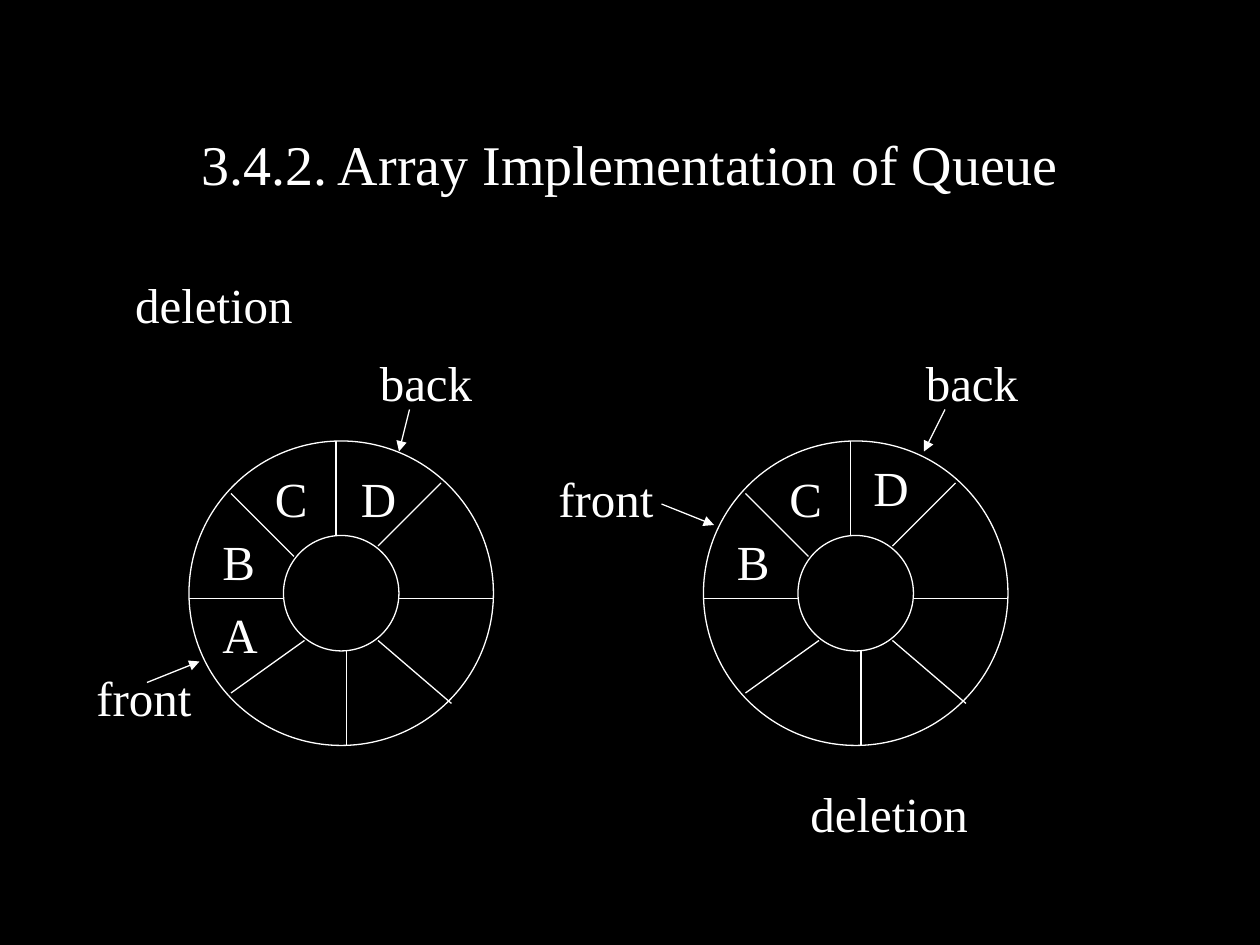
from lxml.etree import SubElement
from pptx import Presentation
from pptx.dml.color import RGBColor
from pptx.enum.shapes import MSO_CONNECTOR, MSO_SHAPE
from pptx.enum.text import MSO_ANCHOR, MSO_AUTO_SIZE, PP_ALIGN
from pptx.oxml.ns import qn
from pptx.util import Cm, Pt

WHITE, BLACK = "FFFFFF", "000000"
TITLE_FONT = {"name": "Times New Roman", "size": Pt(32), "bold": False}
LABEL_FONT = {"name": "Times New Roman", "size": Pt(28), "bold": False}

# Ring geometry in grid steps, measured from the ring's top left corner
RING, HUB, HUB_OFFSET = 29, 11, 9
SPOKES = [
    (14, 0, 14, 9), (15, 20, 15, 29), (20, 15, 29, 15), (9, 15, 0, 15),
    (18, 10, 24, 4), (10, 11, 4, 5), (11, 19, 4, 24), (18, 19, 25, 25),
]

# Each queue: ring corner, labels (text, left, top, width), pointer arrows
QUEUES = [
    {"ring": (18, 42),
     "labels": [("C", 25, 44, 7), ("B", 20, 50, 6), ("A", 20, 57, 7),
                ("D", 33.2, 44, 6), ("front", 8, 63, 13), ("back", 35, 33, 12)],
     "arrows": [(39, 39, 38, 43), (14, 65, 19, 63)]},
    {"ring": (67, 42),
     "labels": [("C", 74, 44, 7), ("B", 69, 50, 6), ("D", 82, 43, 6),
                ("front", 52, 44, 13), ("back", 87, 33, 12),
                ("deletion", 76, 74, 28)],
     "arrows": [(90, 39, 88, 43), (63, 48, 68, 50)]},
]


def grid(*steps):
    """Lengths on a grid of twelve steps to 2.54 cm."""
    return [Cm(n * 2.54 / 12) for n in steps]


def color(hex_string):
    return RGBColor.from_string(hex_string)


def apply(obj, values):
    for name, value in values.items():
        setattr(obj, name, value)


def write(tf, text, font):
    p = tf.paragraphs[0]
    r = p.add_run()
    r.text = text
    apply(r.font, font)
    r.font.color.rgb = color(WHITE)
    return p


def style_line(sp):
    sp.line.color.rgb = color(WHITE)
    sp.line.width = Pt(0.75)


def place(sp, *box):
    apply(sp, dict(zip(("left", "top", "width", "height"), grid(*box))))


def add_circle(group, left, top, size):
    sp = group.shapes.add_shape(MSO_SHAPE.OVAL, *grid(left, top, size, size))
    sp.shadow.inherit = False
    sp.fill.background()
    style_line(sp)


def add_line(group, ends, arrow=False):
    sp = group.shapes.add_connector(MSO_CONNECTOR.STRAIGHT, *grid(*ends))
    style_line(sp)
    if arrow:
        SubElement(sp.line._get_or_add_ln(), qn("a:tailEnd"), type="triangle")
    SubElement(sp._element.spPr, qn("a:effectLst"))


def add_label(group, text, left, top, width):
    sp = group.shapes.add_textbox(*grid(left, top, width, 6.8))
    tf = sp.text_frame
    apply(tf, {"word_wrap": True, "auto_size": MSO_AUTO_SIZE.SHAPE_TO_FIT_TEXT})
    write(tf, text, LABEL_FONT)


def add_queue(s, queue):
    group = s.shapes.add_group_shape()
    x, y = queue["ring"]
    add_circle(group, x, y, RING)
    add_circle(group, x + HUB_OFFSET, y + HUB_OFFSET, HUB)
    for x1, y1, x2, y2 in SPOKES:
        add_line(group, (x + x1, y + y1, x + x2, y + y2))
    for label in queue["labels"]:
        add_label(group, *label)
    for ends in queue["arrows"]:
        add_line(group, ends, arrow=True)


def fill_placeholders(s):
    title, body = s.placeholders[0], s.placeholders[1]

    # Title
    place(title, 9, 8, 102, 15)
    title.text_frame.vertical_anchor = MSO_ANCHOR.MIDDLE
    p = write(title.text_frame, "3.4.2. Array Implementation of Queue", TITLE_FONT)
    p.alignment = PP_ALIGN.CENTER

    # Operation name, without a bullet
    place(body, 9, 25, 102, 56)
    apply(body.text_frame, {"margin_left": Cm(0.82), "margin_top": Cm(0.25)})
    p = write(body.text_frame, "deletion", LABEL_FONT)
    p.space_before = Pt(7)
    pPr = p._p.get_or_add_pPr()
    apply(pPr, {"marL": 0, "indent": 0}) if hasattr(pPr, "marL") else None
    for name in ("marL", "indent"):
        pPr.set(name, "0")
    SubElement(pPr, qn("a:buNone"))


def main():
    prs = Presentation()
    apply(prs, {"slide_width": Cm(25.4), "slide_height": Cm(19.05)})
    s = prs.slides.add_slide(prs.slide_layouts[1])
    s.background.fill.solid()
    s.background.fill.fore_color.rgb = color(BLACK)

    fill_placeholders(s)
    for queue in QUEUES:
        add_queue(s, queue)
    prs.save("out.pptx")


if __name__ == "__main__":
    main()
